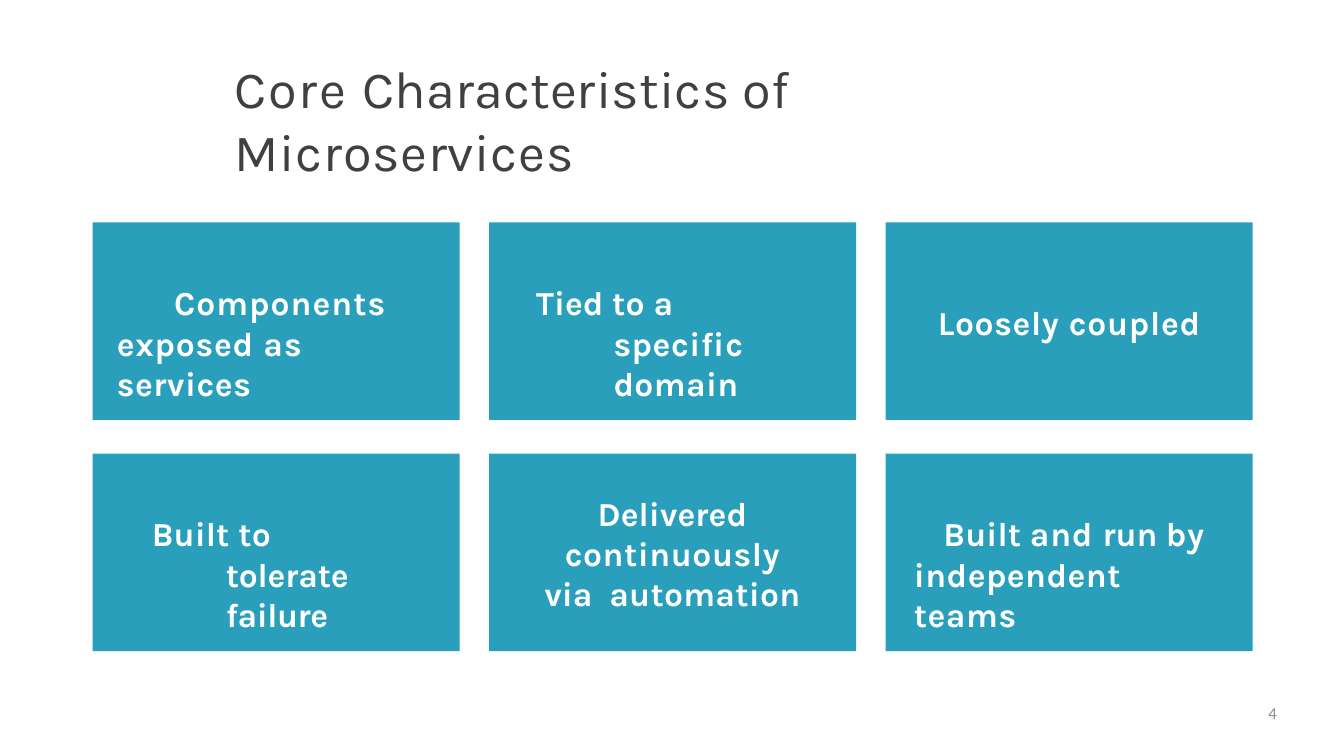
from dataclasses import dataclass

from pptx import Presentation, util as u
from pptx.dml.color import RGBColor
from pptx.enum import shapes, text

TEAL = RGBColor(0x2A, 0x9F, 0xBB)
WHITE = RGBColor(0xFF, 0xFF, 0xFF)
DARK = RGBColor(0x40, 0x40, 0x40)
GREY = RGBColor(0x8C, 0x8C, 0x8C)
LEFT, MID, RIGHT = text.PP_ALIGN.LEFT, text.PP_ALIGN.CENTER, text.PP_ALIGN.RIGHT

CARD_W, CARD_H = 5.46, 2.94
START_X, START_Y = 1.38, 3.31
STEP_X, STEP_Y = 5.9, 3.44

CARDS = [
    (0.89, LEFT, (0.36, 0.85, 0.42),
     [("Components ", 1.1), ("exposed ", 0.8), ("as ", 1.2), ("services", 0.6)]),
    (0.89, LEFT, (1.85, -1.15, 1.15),
     [("Tied ", 0), ("to ", 0.3), ("a specific ", 0.6), ("domain", 0.4)]),
    (1.18, MID, (0, 0, 0),
     [("Loosely ", 0.7), ("coupled", 0.8)]),
    (0.89, LEFT, (1.98, -1.1, 1.1),
     [("Built ", 0.1), ("to ", 0.4), ("tolerate ", -0.2), ("failure", -0.5)]),
    (0.58, MID, (0.78, 0, 0.78),
     [("Delivered ", 0.1), ("continuously ", 0.6), ("via  ", -0.1), ("automation", 0.3)]),
    (0.89, LEFT, (0.42, 0.44, 0.5),
     [("Built ", 0.1), ("and ", 0.8), ("run ", -0.2), ("by ", 0.8),
      ("independent ", 0.5), ("teams", 0.6)]),
]
TITLE = [("Core ", 1.9), ("Characteristics ", 0.2), ("of ", -0.5), ("Microservices", 0.8)]


@dataclass
class Deck:
    """Hold the text style and the current slide."""
    slide: object
    face: str = "Karla"

    def add_text(self, shape, runs, size, color, align=LEFT, top=0, dents=(0, 0, 0),
                 bold=False, face=None):
        frame = shape.text_frame
        frame.word_wrap = True
        frame.vertical_anchor = text.MSO_ANCHOR.TOP
        frame.margin_left = frame.margin_right = frame.margin_bottom = 0
        frame.margin_top = u.Inches(top)
        para = frame.paragraphs[0]
        para.alignment = align
        props = para._p.get_or_add_pPr()
        for name, dent in zip(("marL", "indent", "marR"), dents):
            props.set(name, str(u.Inches(dent)))
        for words, track in runs:
            run = para.add_run()
            run.text = words
            font = run.font
            font.name, font.size, font.bold = face or self.face, u.Pt(size), bold
            font.color.rgb = color
            run._r.get_or_add_rPr().set("spc", str(round(track * 100)))

    def label(self, box, runs, size, color, **style):
        shape = self.slide.shapes.add_textbox(*map(u.Inches, box))
        self.add_text(shape, runs, size, color, **style)

    def card(self, box, runs, **style):
        shape = self.slide.shapes.add_shape(
            shapes.MSO_SHAPE.RECTANGLE, *map(u.Inches, box))
        shape.shadow.inherit = False
        shape.fill.solid()
        shape.fill.fore_color.rgb = TEAL
        shape.line.fill.background()
        self.add_text(shape, runs, 36, WHITE, bold=True, **style)


def main():
    show = Presentation()
    show.slide_width, show.slide_height = u.Inches(20), u.Inches(11.25)
    deck = Deck(show.slides.add_slide(show.slide_layouts[6]))
    deck.label((3.48, 0.82, 13.05, 0.96), TITLE, 56, DARK, top=0.02, dents=(0.01, 0, 0))
    for spot, (top, align, dents, runs) in enumerate(CARDS):
        row, col = divmod(spot, 3)
        box = (START_X + col * STEP_X, START_Y + row * STEP_Y, CARD_W, CARD_H)
        deck.card(box, runs, top=top, align=align, dents=dents)
    deck.label((14.4, 10.46, 4.6, 0.56), [("4", 0)], 18, GREY, align=RIGHT, face="Calibri")
    show.save("out.pptx")


if __name__ == "__main__":
    main()
